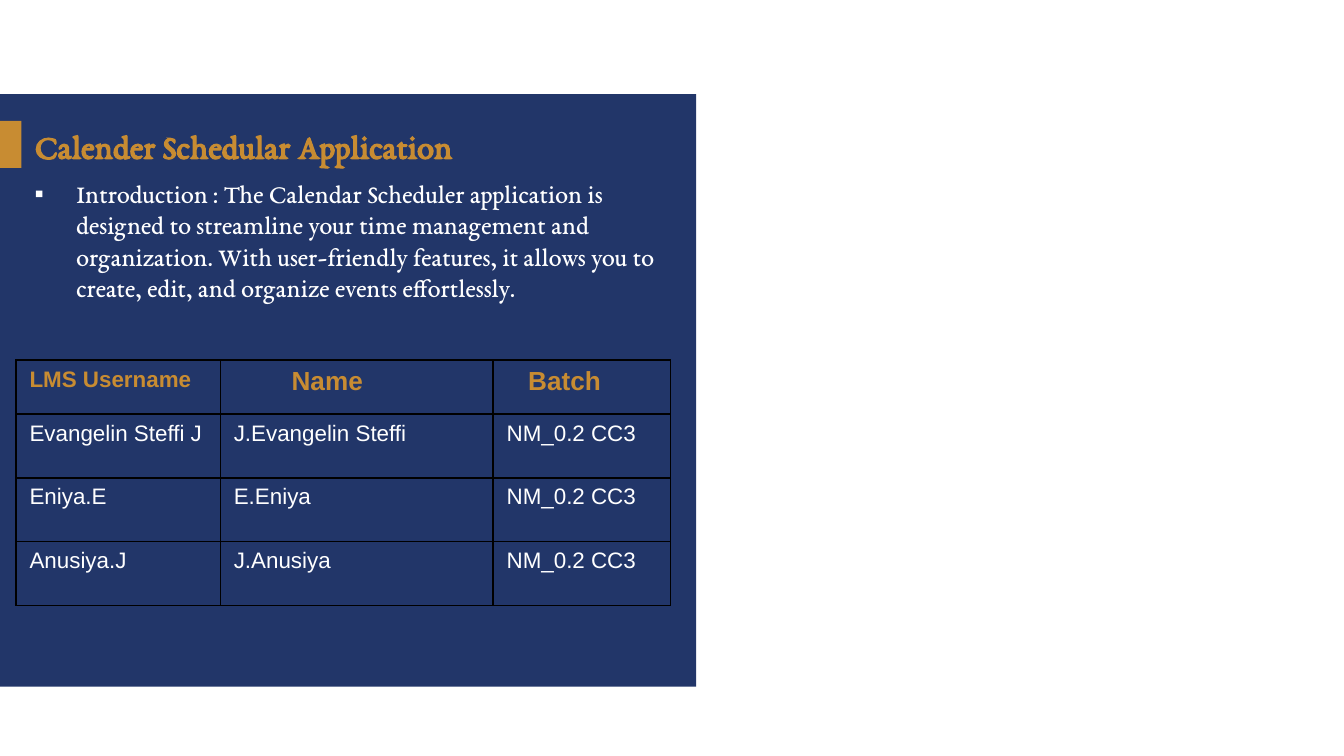
from pptx import Presentation
from pptx.dml.color import RGBColor
from pptx.enum import shapes, text
from pptx.oxml import parse_xml
from pptx.oxml.ns import nsdecls
from pptx.util import Inches, Pt

NAVY = RGBColor(0x22, 0x36, 0x69)
GOLD = RGBColor(0xC8, 0x8C, 0x32)
WHITE = RGBColor(0xFF, 0xFF, 0xFF)
SERIF = "EB Garamond"
SANS = "Arial"
INTRO = [
    ("Introduction", 14),
    (" ", 12),
    (": The Calendar Scheduler application is designed to streamline your time "
     "management and organization. With user-friendly features, it allows you to "
     "create, edit, and organize events effortlessly.", 14),
]
HEADS = [("LMS Username", 12, 0.1), ("Name", 14, 0.53), ("Batch", 14, 0.26)]
BATCH = "NM_0.2 CC3"
TEAM = [
    ("Evangelin Steffi J", "J.Evangelin Steffi", BATCH),
    ("Eniya.E", "E.Eniya", BATCH),
    ("Anusiya.J", "J.Anusiya", BATCH),
]
COLS = [1.52, 2.03, 1.32]


def style(run, size, color, face, bold=False):
    """Set the font of a run."""
    font = run.font
    font.size, font.name, font.bold = Pt(size), face, bold
    font.color.rgb = color


def block(slide, x, y, w, h, color):
    """Draw a plain filled rectangle."""
    rect = slide.shapes.add_shape(
        shapes.MSO_SHAPE.RECTANGLE, Inches(x), Inches(y), Inches(w), Inches(h))
    rect.shadow.inherit = False
    rect.fill.solid()
    rect.fill.fore_color.rgb = color
    rect.line.fill.background()


def frame(slide, x, y, w, h):
    """Add a wrapping text box and return its frame."""
    box = slide.shapes.add_textbox(Inches(x), Inches(y), Inches(w), Inches(h))
    box.text_frame.word_wrap = True
    return box.text_frame


def title(slide, x, y, w, h):
    """Place the heading, centred on its box's height."""
    body = frame(slide, x, y, w, h)
    body.vertical_anchor = text.MSO_ANCHOR.MIDDLE
    body.text = "Calender Schedular Application"
    style(body.paragraphs[0].runs[0], 18.3, GOLD, SERIF, True)


def intro(slide, x, y, w, h):
    """Place the bulleted introduction."""
    para = frame(slide, x, y, w, h).paragraphs[0]
    for words, size in INTRO:
        run = para.add_run()
        run.text = words
        style(run, size, WHITE, SERIF)
    props = para._p.get_or_add_pPr()
    props.set("marL", str(Inches(0.31)))
    props.set("indent", str(-Inches(0.31)))
    for item in ('<a:buClr %s><a:srgbClr val="FFFFFF"/></a:buClr>',
                 '<a:buFont %s typeface="Arial"/>',
                 '<a:buChar %s char="▪"/>'):
        props.append(parse_xml(item % nsdecls("a")))


def border(cell):
    """Give a cell thin black edges and no fill."""
    cell.fill.background()
    props = cell._tc.get_or_add_tcPr()
    for spot, side in enumerate("LRTB"):
        props.insert(spot, parse_xml(
            f'<a:ln{side} {nsdecls("a")} w="12700"><a:solidFill>'
            f'<a:srgbClr val="000000"/></a:solidFill></a:ln{side}>'))


def fill(cell, words, size, color, bold, left=0.1):
    """Write one table cell."""
    cell.text = words
    cell.margin_left = Inches(left)
    style(cell.text_frame.paragraphs[0].runs[0], size, color, SANS, bold)
    border(cell)


def roster(slide, x, y, head, row):
    """Place the team table with the given row heights."""
    rows = len(TEAM) + 1
    grid = slide.shapes.add_table(
        rows, len(COLS), Inches(x), Inches(y), Inches(sum(COLS)),
        Inches(head + row * len(TEAM))).table
    grid.first_row = grid.horz_banding = False
    for col, wide in zip(grid.columns, COLS):
        col.width = Inches(wide)
    for num, line in enumerate(grid.rows):
        line.height = Inches(row if num else head)
    for col, (words, size, left) in enumerate(HEADS):
        fill(grid.cell(0, col), words, size, GOLD, True, left)
    for num, names in enumerate(TEAM, 1):
        for col, words in enumerate(names):
            fill(grid.cell(num, col), words, 12, WHITE, False)


def panel(slide, x, y, w, h):
    """Build the navy panel and everything on it."""
    block(slide, x, y, w, h, NAVY)
    block(slide, x, y + 0.2, 0.16, 0.35, GOLD)
    title(slide, x + 0.16, y + 0.19, 3.74, 0.38)
    intro(slide, x + 0.16, y + 0.57, 4.97, 3.32)
    roster(slide, x + 0.12, y + 1.98, 0.4, 1.9 / 4)


def main():
    """Make the deck and save it."""
    deck = Presentation()
    deck.slide_width = Inches(10)
    deck.slide_height = deck.slide_width * 9 // 16
    slide = deck.slides.add_slide(deck.slide_layouts[6])
    panel(slide, 0, 0.7, 5.18, 4.41)
    deck.save("out.pptx")


if __name__ == "__main__":
    main()
